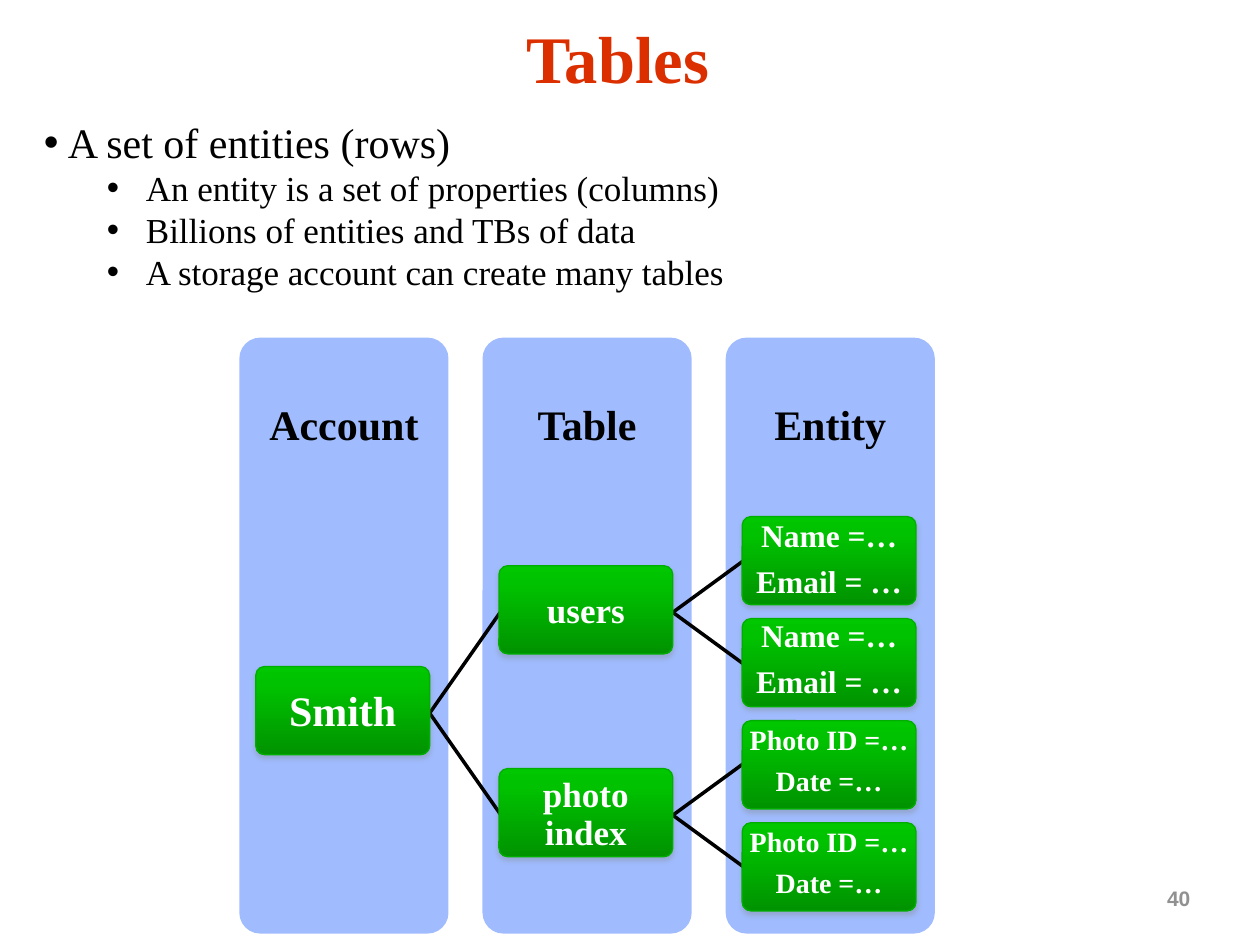
from lxml.etree import SubElement
from pptx import Presentation
from pptx.dml.color import RGBColor
from pptx.enum.shapes import MSO_CONNECTOR, MSO_SHAPE
from pptx.enum.text import MSO_ANCHOR, PP_ALIGN
from pptx.oxml.ns import qn
from pptx.util import Pt

SCALE = 9144
COLORS = {
    "title": "DC2F00", "ink": "000000", "paper": "FFFFFF", "page": "919191",
    "column": "A0BCFE", "edge": "00AE00", "shadow": "808080",
    "top": "00C700", "upper": "00C200", "bottom": "009300",
}
SERIF, SANS = "Times New Roman", "Arial"


def px(*lengths):
    """Turn px lengths into EMU."""
    return [length * SCALE for length in lengths]


def rgb(name):
    """Look up a named colour."""
    return RGBColor.from_string(COLORS[name])


def add_xml(parent, tag, **attributes):
    """Append a DrawingML element and return it."""
    return SubElement(parent, qn(f"a:{tag}"), {k: str(v) for k, v in attributes.items()})


def write(shape, lines, size, color="ink", font=SERIF, bold=True, align=PP_ALIGN.CENTER,
          anchor=MSO_ANCHOR.MIDDLE, insets=(10, 5, 10, 5), spacing=0.9, gap=0.0, wrap=True):
    """Fill a shape with one formatted paragraph per line and return the paragraphs."""
    frame = shape.text_frame
    frame.text = "\n".join(lines)
    frame.word_wrap = wrap
    frame.vertical_anchor = anchor
    (frame.margin_left, frame.margin_top,
     frame.margin_right, frame.margin_bottom) = px(*insets)
    for paragraph in frame.paragraphs:
        paragraph.alignment = align
        paragraph.line_spacing = spacing
        paragraph.space_before = Pt(0)
        paragraph.space_after = Pt(0)
        for run in paragraph.runs:
            run.font.name, run.font.size, run.font.bold = font, Pt(size), bold
            run.font.color.rgb = rgb(color)
    for paragraph in frame.paragraphs[:-1]:
        paragraph.space_after = Pt(size * gap)
    return frame.paragraphs


def add_title(slide, box, text):
    """Place the slide title in its placeholder."""
    title = slide.shapes.title
    title.left, title.top, title.width, title.height = px(*box)
    write(title, [text], 38, "title")


def add_bullets(slide, box, lead, details):
    """Place a lead bullet with its indented details."""
    body = slide.shapes.add_textbox(*px(*box))
    paragraphs = write(body, [lead, *details], 20, bold=False,
                       align=PP_ALIGN.LEFT, spacing=1.0)
    paragraphs[0].runs[0].font.size = Pt(24)
    for index, paragraph in enumerate(paragraphs):
        paragraph.level = min(index, 1)
        margin, hang = px(81, 31) if index else px(19, 19)
        properties = paragraph._p.get_or_add_pPr()
        properties.set("marL", str(margin))
        properties.set("indent", str(-hang))
        add_xml(properties, "buFont", typeface=SANS)
        add_xml(properties, "buChar", char="•")


def add_rounded(slide, box):
    """Add a rounded box without the theme shadow."""
    shape = slide.shapes.add_shape(MSO_SHAPE.ROUNDED_RECTANGLE, *px(*box))
    shape.adjustments[0] = 0.1
    shape.shadow.inherit = False
    return shape


def add_column(slide, box, heading):
    """Add a column panel with its heading near the top."""
    panel = add_rounded(slide, box)
    panel.fill.solid()
    panel.fill.fore_color.rgb = rgb("column")
    panel.line.fill.background()
    write(panel, [heading], 24, insets=(10, 16, 10, box[3] - 126))


def add_node(slide, box, lines, size, drop):
    """Add a green node whose text sits lower by about half the drop."""
    node = add_rounded(slide, box)
    node.fill.gradient()
    node.fill.gradient_angle = 270
    properties = node._element.spPr
    stops = properties.find(qn("a:gradFill")).find(qn("a:gsLst"))
    stops.clear()
    for position, name in ((0, "top"), (20, "upper"), (100, "bottom")):
        add_xml(add_xml(stops, "gs", pos=position * 1000), "srgbClr", val=COLORS[name])
    node.line.color.rgb = rgb("edge")
    node.line.width = Pt(0.75)
    shadow = add_xml(properties.find(qn("a:effectLst")), "outerShdw", blurRad=Pt(3.1),
                     dist=Pt(1.8), dir=5400000, algn="ctr", rotWithShape=0)
    add_xml(add_xml(shadow, "srgbClr", val=COLORS["shadow"]), "alpha", val=35000)
    write(node, lines, size, "paper", insets=(1, 1 + max(drop, 0), 1, 1 - min(drop, 0)),
          gap=0.38)


def add_branches(slide, box, reach):
    """Draw two lines from a node's right side to its children."""
    x, y = box[0] + box[2], box[1] + box[3] // 2 + 2
    for rise in (-reach, reach):
        branch = slide.shapes.add_connector(MSO_CONNECTOR.STRAIGHT,
                                            *px(x, y, x + 63, y + rise))
        branch.line.color.rgb = rgb("ink")
        branch.line.width = Pt(2)
        add_xml(branch._element.spPr, "effectLst")


def add_hierarchy(slide, box):
    """Draw the account, table and entity columns with their tree."""
    left, top, width, height = box
    pitch = 193
    user, photo = ["Name =…", "Email = …"], ["Photo ID =…", "Date =…"]
    levels = [
        ("Account", 261, 0, 90, [(["Smith"], 24, 4)]),
        ("Table", 181, 161, 46, [(["users"], 20, 4), (["photo index"], 20, 4)]),
        ("Entity", 142, 81, 0, [(user, 18, 0), (user, 18, -4),
                                (photo, 16, -4), (photo, 16, -4)]),
    ]
    for column, (heading, *_) in enumerate(levels):
        add_column(slide, (left + column * pitch, top, width, height), heading)
    for column, (_, start, step, reach, nodes) in enumerate(levels):
        for row, (lines, size, drop) in enumerate(nodes):
            node_box = (left + 13 + column * pitch, top + start + row * step, 138, 70)
            if reach:
                add_branches(slide, node_box, reach)
            add_node(slide, node_box, lines, size, drop)


def add_page_number(slide, box, number):
    """Place the page number."""
    label = slide.shapes.add_textbox(*px(*box))
    write(label, [number], 12, "page", SANS, anchor=MSO_ANCHOR.TOP, spacing=1.0, wrap=False)


def main():
    """Build the slide and save it."""
    deck = Presentation()
    deck.slide_width, deck.slide_height = px(1000, 750)
    slide = deck.slides.add_slide(deck.slide_layouts[5])
    add_title(slide, (33, 8, 915, 83), "Tables")
    add_hierarchy(slide, (190, 268, 166, 473))
    add_bullets(slide, (25, 50, 940, 225), "A set of entities (rows)", [
        "An entity is a set of properties (columns)",
        "Billions of entities and TBs of data",
        "A storage account can create many tables",
    ])
    add_page_number(slide, (913, 698, 45, 30), "40")
    deck.save("out.pptx")


if __name__ == "__main__":
    main()
